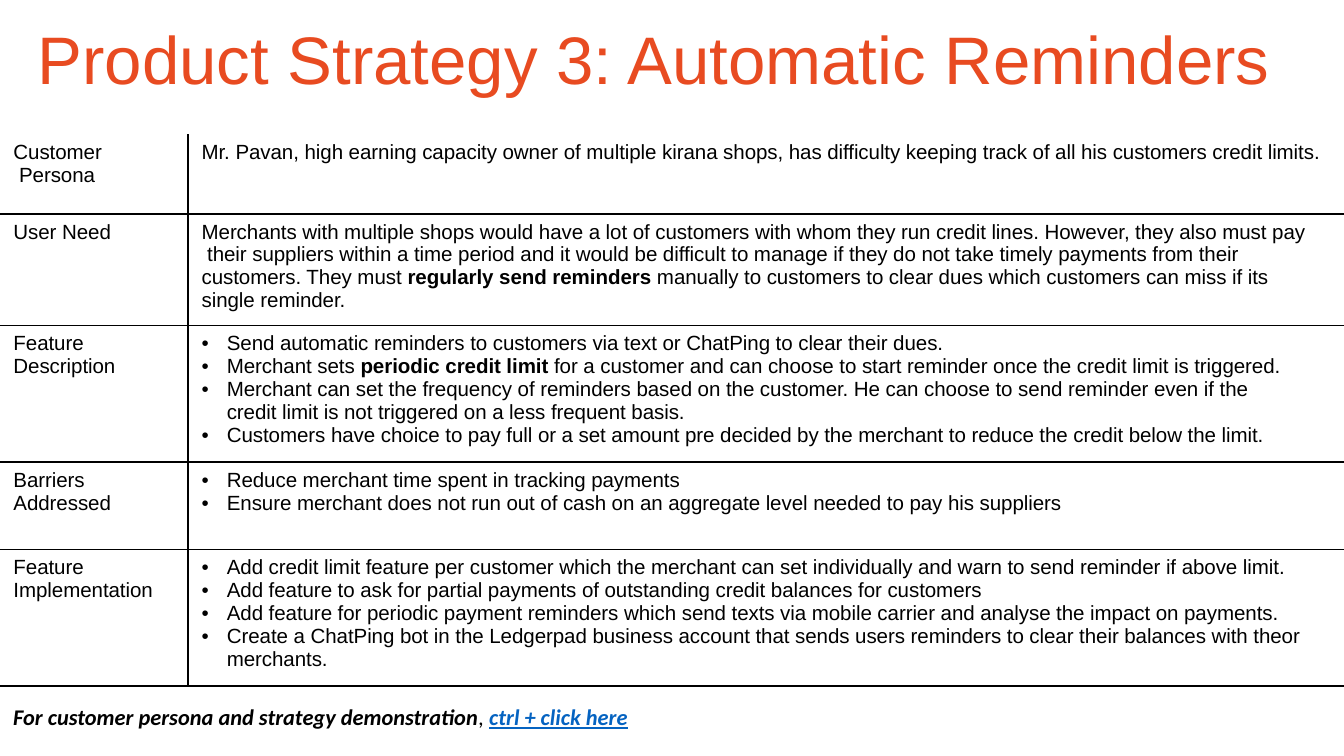
"""Build the product strategy slide: a title, a two-column table and a footer line."""
import pptx
import pptx.util
import pptx.dml.color
import pptx.enum.text
import pptx.oxml.ns
from dataclasses import dataclass
from lxml import etree

Pt = pptx.util.Pt
RGB = pptx.dml.color.RGBColor.from_string

TITLE = "Product Strategy 3: Automatic Reminders"
ROWS = [
    ("Customer\n Persona", 42.5, False, [
        "Mr. Pavan, high earning capacity owner of multiple kirana shops, has difficulty "
        "keeping track of all his customers credit limits."]),
    ("User Need", 60, False, [
        "Merchants with multiple shops would have a lot of customers with whom they run credit "
        "lines. However, they also must pay\n their suppliers within a time period and it would "
        "be difficult to manage if they do not take timely payments from their\ncustomers. "
        "They must **regularly send reminders** manually to customers to clear dues which "
        "customers can miss if its\nsingle reminder."]),
    ("Feature\nDescription", 73.2, True, [
        "Send automatic reminders to customers via text or ChatPing to clear their dues.",
        "Merchant sets **periodic credit limit** for a customer and can choose to start "
        "reminder once the credit limit is triggered.",
        "Merchant can set the frequency of reminders based on the customer. He can choose to "
        "send reminder even if the\ncredit limit is not triggered on a less frequent basis.",
        "Customers have choice to pay full or a set amount pre decided by the merchant to "
        "reduce the credit below the limit."]),
    ("Barriers\nAddressed", 46.8, True, [
        "Reduce merchant time spent in tracking payments",
        "Ensure merchant does not run out of cash on an aggregate level needed to pay his "
        "suppliers"]),
    ("Feature\nImplementation", 73.2, True, [
        "Add credit limit feature per customer which the merchant can set individually and "
        "warn to send reminder if above limit.",
        "Add feature to ask for partial payments of outstanding credit balances for customers",
        "Add feature for periodic payment reminders which send texts via mobile carrier and "
        "analyse the impact on payments.",
        "Create a ChatPing bot in the Ledgerpad business account that sends users reminders to "
        "clear their balances with theor\nmerchants."]),
]
FOOTER = [("For customer persona and strategy demonstration", True, False),
          (",\u00a0", False, False),
          ("ctrl + click here", True, True)]
COL_WIDTHS = (100.8, 619.2)


@dataclass
class Theme:
    title: str = "E84B21"
    ink: str = "000000"
    link: str = "0563C1"
    font: str = "Arial"
    footer_font: str = "Calibri"
    title_size: float = 36
    body_size: float = 11
    footer_size: float = 12
    tracking: int = -5
    rule: float = 1


T = Theme()


def add_run(p, text, size, color, font, bold=False):
    r = p.add_run()
    r.text = text
    r.font.size, r.font.name, r.font.bold = Pt(size), font, bold
    r.font.color.rgb = RGB(color)
    return r


def add_rich(p, text):
    for i, part in enumerate(text.split("**")):
        for j, line in enumerate(part.split("\n")):
            if j:
                p.add_line_break()
            if line:
                r = add_run(p, line, T.body_size, T.ink, T.font, i % 2 == 1)
                r.font._element.set("spc", str(T.tracking))


def sub(parent, tag, **attrs):
    return etree.SubElement(parent, pptx.oxml.ns.qn(tag), **attrs)


def set_indent(p, left, hanging, bullet):
    pPr = p._p.get_or_add_pPr()
    pPr.set("marL", str(Pt(left)))
    pPr.set("indent", str(Pt(-hanging)))
    if bullet:
        sub(pPr, "a:buFont", typeface=T.font)
        sub(pPr, "a:buChar", char="•")


def set_borders(cell, visible):
    tcPr = cell._tc.get_or_add_tcPr()
    for side in "LRTB":
        ln = sub(tcPr, "a:ln" + side, w=str(Pt(T.rule)))
        if side in visible:
            sub(sub(ln, "a:solidFill"), "a:srgbClr", val=T.ink)
        else:
            sub(ln, "a:noFill")


def fill_cell(cell, paragraphs, bullet, borders):
    set_borders(cell, borders)
    cell.fill.background()
    cell.margin_left = cell.margin_right = cell.margin_bottom = 0
    cell.margin_top = Pt(3.6)
    tf = cell.text_frame
    for i, text in enumerate(paragraphs):
        p = tf.add_paragraph() if i else tf.paragraphs[0]
        p.space_before = Pt(0 if i else 3.3)
        set_indent(p, 20.7 if bullet else 7.2, 13.5 if bullet else 0, bullet)
        add_rich(p, text)


prs = pptx.Presentation()
prs.slide_width, prs.slide_height = Pt(720), Pt(405)
s = prs.slides.add_slide(prs.slide_layouts[5])

sp = s.shapes.title
sp.left, sp.top, sp.width, sp.height = Pt(20.2), Pt(7.9), Pt(682), Pt(44.6)
tf = sp.text_frame
tf.margin_left = tf.margin_right = tf.margin_bottom = 0
tf.margin_top = Pt(1)
tf.word_wrap = True
tf.vertical_anchor = pptx.enum.text.MSO_ANCHOR.MIDDLE
p = tf.paragraphs[0]
p.alignment = pptx.enum.text.PP_ALIGN.LEFT
add_run(p, TITLE, T.title_size, T.title, T.font)

table = s.shapes.add_table(len(ROWS), 2, 0, Pt(72), Pt(sum(COL_WIDTHS)),
                           Pt(sum(row[1] for row in ROWS))).table
table.first_row = table.horz_banding = False
for column, width in zip(table.columns, COL_WIDTHS):
    column.width = Pt(width)
for i, (label, height, bullet, paragraphs) in enumerate(ROWS):
    table.rows[i].height = Pt(height)
    across = "TB" if i else "B"
    fill_cell(table.cell(i, 0), [label], False, "R" + across)
    fill_cell(table.cell(i, 1), paragraphs, bullet, "L" + across)

tf = s.shapes.add_textbox(0, Pt(373), Pt(532), Pt(21.8)).text_frame
tf.word_wrap = True
for text, bold, link in FOOTER:
    r = add_run(tf.paragraphs[0], text, T.footer_size, T.link if link else T.ink,
                T.footer_font, bold)
    r.font.italic, r.font.underline = True, link

prs.save("out.pptx")
